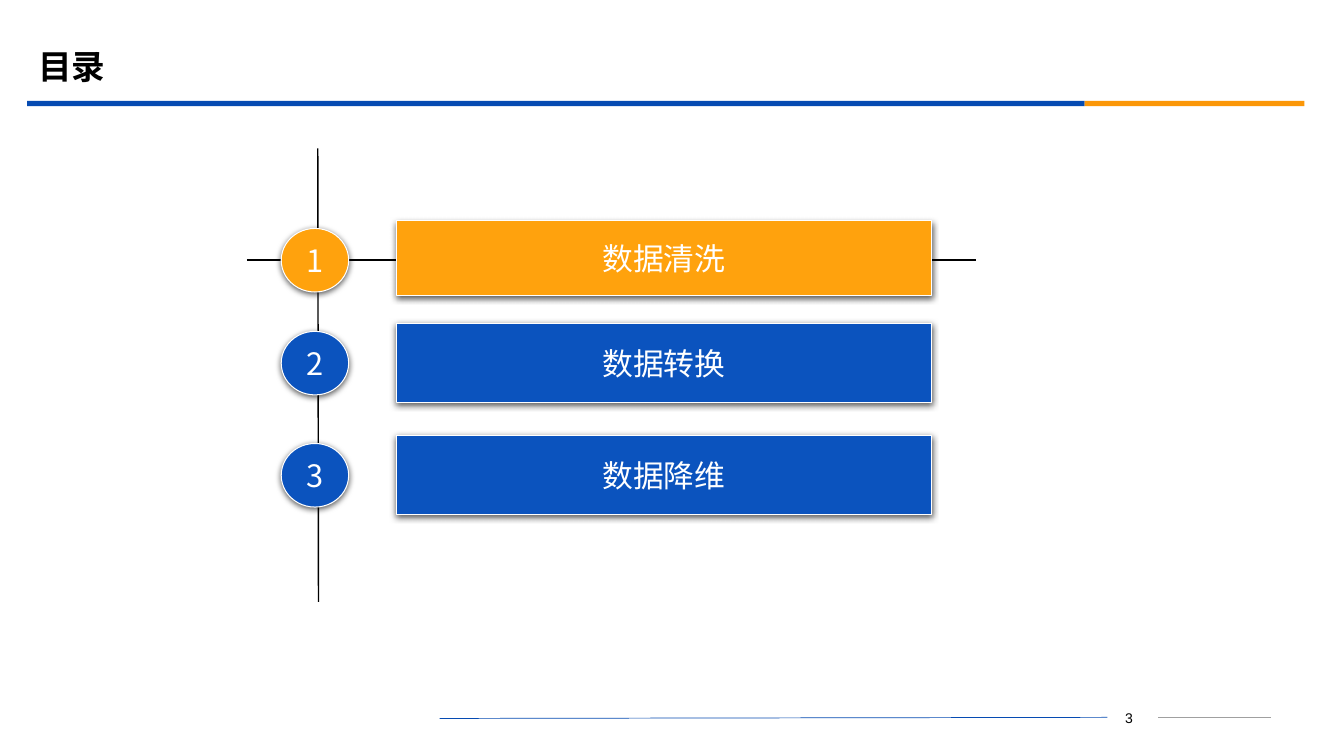
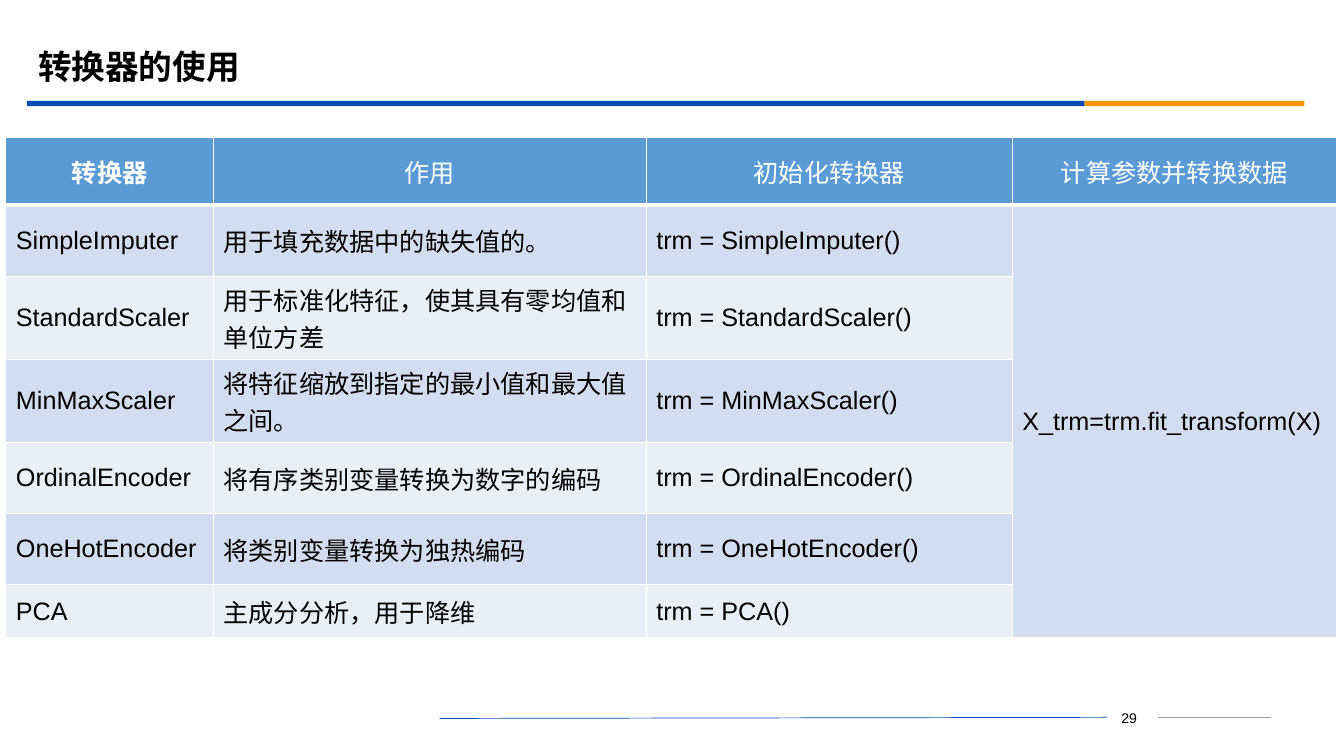
import lxml.etree
import pptx
import pptx.dml.color
import pptx.enum.shapes
import pptx.enum.text
import pptx.oxml.ns
import pptx.util

Pt = pptx.util.Pt
RGBColor = pptx.dml.color.RGBColor
SHAPE = pptx.enum.shapes.MSO_SHAPE
ALIGN = pptx.enum.text.PP_ALIGN
MIDDLE = pptx.enum.text.MSO_ANCHOR.MIDDLE
qn = pptx.oxml.ns.qn

BLACK = RGBColor(0x00, 0x00, 0x00)
WHITE = RGBColor(0xFF, 0xFF, 0xFF)
GREY = RGBColor(0xA0, 0xA0, 0xA0)
BAND_BLUE = RGBColor(0x06, 0x4B, 0xB2)
BAND_ORANGE = RGBColor(0xFB, 0x97, 0x08)
ITEM_BLUE = RGBColor(0x0B, 0x53, 0xBE)
ITEM_ORANGE = RGBColor(0xFF, 0xA2, 0x0D)
HEADER_BLUE = RGBColor(0x5B, 0x9B, 0xD5)
ROW_FILLS = (RGBColor(0xD2, 0xDE, 0xEF), RGBColor(0xEA, 0xEF, 0xF7))

CJK_FONT = "Noto Sans CJK SC"
TITLE_FORMAT = {"name": "Montserrat", "size": Pt(24), "bold": True}
ITEM_FORMAT = {"name": CJK_FONT, "size": Pt(22)}
TABLE_FORMAT = {"name": "Arial", "size": Pt(18), "bold": False}
NUMBER_FORMAT = {"name": "Arial", "size": Pt(10)}

AGENDA = [
    ("数据清洗", 163.2, 157.7, 53.6, ITEM_ORANGE),
    ("数据转换", 236.7, 231.1, 56.5, ITEM_BLUE),
    ("数据降维", 316.8, 311, 56.5, ITEM_BLUE),
]

COLUMN_WIDTHS = (148.3, 309.2, 261.4, 231.6)
ROW_HEIGHTS = (48, 51, 59.5, 59.5, 50.5, 51, 38)
HEADERS = ("转换器", "作用", "初始化转换器", "计算参数并转换数据")
TRANSFORMERS = [
    ("SimpleImputer", "用于填充数据中的缺失值的。"),
    ("StandardScaler", "用于标准化特征，使其具有零均值和单位方差"),
    ("MinMaxScaler", "将特征缩放到指定的最小值和最大值之间。"),
    ("OrdinalEncoder", "将有序类别变量转换为数字的编码"),
    ("OneHotEncoder", "将类别变量转换为独热编码"),
    ("PCA", "主成分分析，用于降维"),
]


def write_text(text_frame, text, text_format, color=BLACK, alignment=ALIGN.LEFT):
    paragraph = text_frame.paragraphs[0]
    paragraph.alignment = alignment
    run = paragraph.add_run()
    run.text = text
    for attribute, value in text_format.items():
        setattr(run.font, attribute, value)
    run.font.color.rgb = color
    properties = run._r.get_or_add_rPr()
    lxml.etree.SubElement(properties, qn("a:ea"), typeface=CJK_FONT)
    return paragraph


def add_line(slide, start, end, color, width):
    line = slide.shapes.add_connector(
        pptx.enum.shapes.MSO_CONNECTOR.STRAIGHT, *map(Pt, start + end))
    line.line.color.rgb = color
    line.line.width = Pt(width)
    lxml.etree.SubElement(line._element.spPr, qn("a:effectLst"))


def add_filled_shape(slide, kind, box, color):
    shape = slide.shapes.add_shape(kind, *map(Pt, box))
    shape.shadow.inherit = False
    shape.fill.solid()
    shape.fill.fore_color.rgb = color
    shape.line.fill.background()
    return shape


def add_shadow(shape):
    effects = shape._element.spPr.find(qn("a:effectLst"))
    shadow = lxml.etree.SubElement(
        effects, qn("a:outerShdw"), blurRad=str(Pt(4.5)), dist=str(Pt(1.5)),
        dir="5400000", rotWithShape="0")
    color = lxml.etree.SubElement(shadow, qn("a:srgbClr"), val=str(BLACK))
    lxml.etree.SubElement(color, qn("a:alpha"), val="63000")


def add_item_shape(slide, kind, box, color, text):
    shape = add_filled_shape(slide, kind, box, color)
    shape.line.color.rgb = WHITE
    shape.line.width = Pt(0.75)
    add_shadow(shape)
    shape.text_frame.word_wrap = False
    shape.text_frame.vertical_anchor = MIDDLE
    write_text(shape.text_frame, text, ITEM_FORMAT, WHITE, ALIGN.CENTER)


def add_title(slide, text):
    title = slide.shapes.title
    box = {"left": 20, "top": 28, "width": 864, "height": 42}
    for attribute, value in box.items():
        setattr(title, attribute, Pt(value))
    title.text_frame.auto_size = pptx.enum.text.MSO_AUTO_SIZE.NONE
    title.text_frame.vertical_anchor = MIDDLE
    write_text(title.text_frame, text, TITLE_FORMAT).line_spacing = 0.9


def add_page_number(slide, number):
    box = slide.shapes.add_textbox(Pt(784.2), Pt(503.3), Pt(44.6), Pt(18))
    box.text_frame.word_wrap = True
    write_text(box.text_frame, str(number), NUMBER_FORMAT, alignment=ALIGN.CENTER)


def new_slide(presentation, title, number):
    slide = presentation.slides.add_slide(presentation.slide_layouts[5])
    add_title(slide, title)
    add_filled_shape(slide, SHAPE.RECTANGLE, (19.4, 72, 755.3, 3.8), BAND_BLUE)
    add_filled_shape(slide, SHAPE.RECTANGLE, (774.7, 72, 157, 3.8), BAND_ORANGE)
    add_line(slide, (314, 513.2), (791, 512.4), BAND_BLUE, 0.5)
    add_line(slide, (827.3, 512.4), (908, 512.4), GREY, 0.75)
    add_page_number(slide, number)
    return slide


def add_agenda(slide):
    add_line(slide, (227, 106), (227.5, 430), BLACK, 1)
    add_line(slide, (176.4, 185.8), (697, 185.8), BLACK, 1)
    for number, (label, circle_top, bar_top, bar_height, color) in enumerate(AGENDA, 1):
        add_item_shape(slide, SHAPE.ACTION_BUTTON_CUSTOM,
                       (283, bar_top, 382.3, bar_height), color, label)
        add_item_shape(slide, SHAPE.OVAL,
                       (200.9, circle_top, 48.2, 45.4), color, str(number))


def set_borders(cell, widths):
    properties = cell._tc.get_or_add_tcPr()
    for side, width in widths.items():
        border = lxml.etree.SubElement(properties, qn(f"a:ln{side}"), w=str(Pt(width)))
        fill = lxml.etree.SubElement(border, qn("a:solidFill"))
        lxml.etree.SubElement(fill, qn("a:srgbClr"), val=str(WHITE))


def format_cell(cell, row):
    top = 3 if row == 1 else 1
    bottom = 3 if row == 0 else 1
    set_borders(cell, {"L": 1, "R": 1, "T": top, "B": bottom})
    cell.fill.solid()
    cell.fill.fore_color.rgb = ROW_FILLS[(row - 1) % 2] if row else HEADER_BLUE
    cell.vertical_anchor = MIDDLE


def add_transformer_table(slide):
    rows = [HEADERS]
    rows += [(name, purpose, f"trm = {name}()", "") for name, purpose in TRANSFORMERS]
    rows[1] = rows[1][:3] + ("X_trm=trm.fit_transform(X)",)
    table = slide.shapes.add_table(
        len(rows), len(HEADERS), Pt(4.2), Pt(98.3),
        Pt(sum(COLUMN_WIDTHS)), Pt(sum(ROW_HEIGHTS))).table
    for column, width in zip(table.columns, COLUMN_WIDTHS):
        column.width = Pt(width)
    for row, height in zip(table.rows, ROW_HEIGHTS):
        row.height = Pt(height)
    for row_index, texts in enumerate(rows):
        for column_index, text in enumerate(texts):
            cell = table.cell(row_index, column_index)
            format_cell(cell, row_index)
            if not text:
                continue
            is_header = row_index == 0
            bold = is_header and column_index == 0
            write_text(cell.text_frame, text, {**TABLE_FORMAT, "bold": bold},
                       WHITE if is_header else BLACK,
                       ALIGN.CENTER if is_header else ALIGN.LEFT)
    table.cell(1, 3).merge(table.cell(len(rows) - 1, 3))


def main():
    presentation = pptx.Presentation()
    presentation.slide_width = Pt(960)
    presentation.slide_height = Pt(540)
    add_agenda(new_slide(presentation, "目录", 3))
    add_transformer_table(new_slide(presentation, "转换器的使用", 29))
    presentation.save("out.pptx")


if __name__ == "__main__":
    main()
